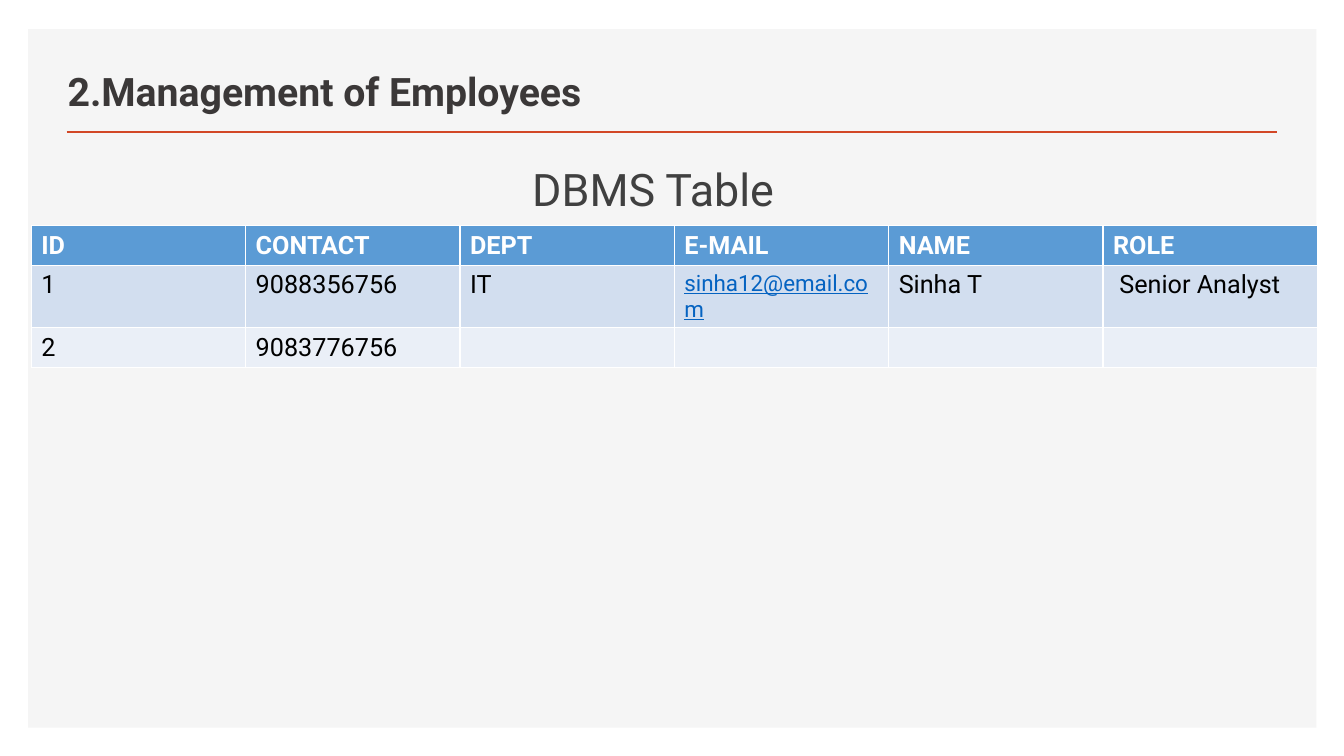
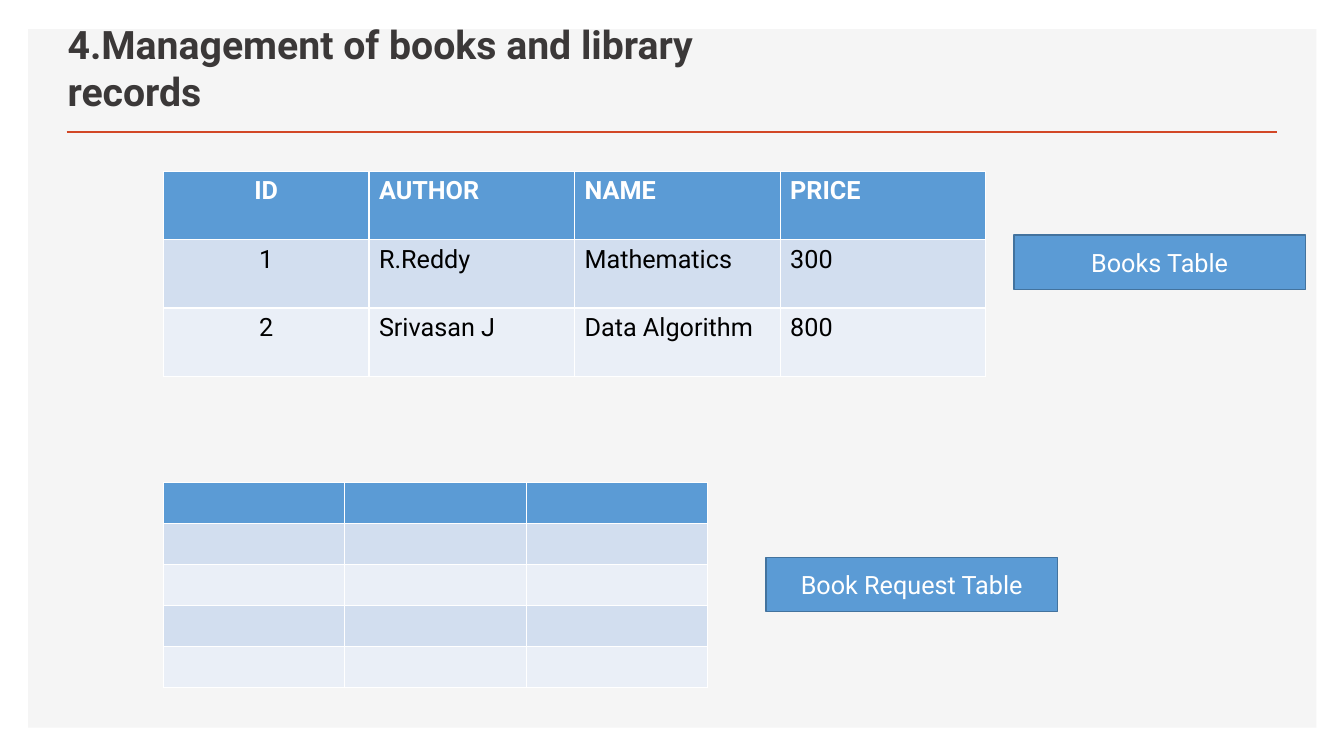
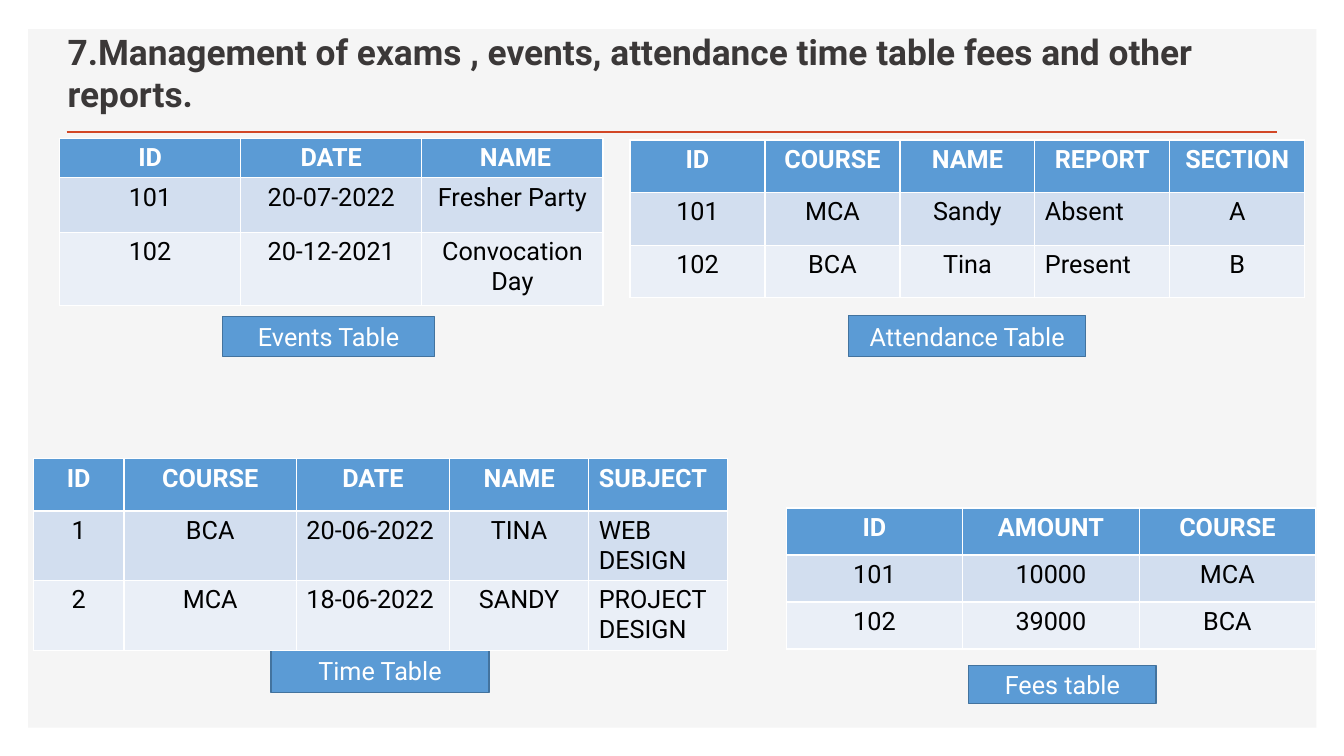
"""Builds three slides on the record tables of a college management system."""
from lxml.etree import SubElement
from pptx import Presentation
from pptx.dml.color import RGBColor
from pptx.enum.shapes import MSO_CONNECTOR, MSO_SHAPE
from pptx.enum.text import MSO_ANCHOR, MSO_AUTO_SIZE, PP_ALIGN
from pptx.oxml.ns import qn
from pptx.util import Inches, Pt

COLORS = {
    "panel": "F5F5F5",
    "rule": "D24726",
    "title": "3B3838",
    "body": "404040",
    "accent": "5B9BD5",
    "outline": "43739E",
    "odd row": "D2DEEF",
    "even row": "EAEFF7",
    "link": "0563C1",
    "black": "000000",
    "white": "FFFFFF",
}
ALIGNMENTS = {"l": PP_ALIGN.LEFT, "c": PP_ALIGN.CENTER}


def color(name):
    return RGBColor.from_string(COLORS[name])


def write_text(frame, text, size=18, ink="black", bold=False, underline=False, align="l"):
    para = frame.paragraphs[0]
    para.clear()
    para.alignment = ALIGNMENTS[align]
    span = para.add_run()
    span.text = text
    span.font.name = "Roboto"
    span.font.size = Pt(size)
    span.font.bold = bold
    span.font.underline = underline
    span.font.color.rgb = color(ink)
    return para


class Builder:
    """Holds the deck and current page; lengths are percent of the slide's size."""

    def __init__(self):
        self.deck = Presentation()
        self.deck.slide_width = Inches(13.333)
        self.deck.slide_height = Inches(7.5)
        self.page = None

    def across(self, share):
        return round(self.deck.slide_width * share / 100)

    def down(self, share):
        return round(self.deck.slide_height * share / 100)

    def area(self, left, top, width, height):
        return self.across(left), self.down(top), self.across(width), self.down(height)

    def box(self, left, top, width, height, fill, outline=None):
        box = self.page.shapes.add_shape(
            MSO_SHAPE.RECTANGLE, *self.area(left, top, width, height))
        box.shadow.inherit = False
        box.fill.solid()
        box.fill.fore_color.rgb = color(fill)
        if outline:
            box.line.color.rgb = color(outline)
            box.line.width = Pt(1)
        else:
            box.line.fill.background()
        return box

    def rule(self, left, right, top):
        rule = self.page.shapes.add_connector(
            MSO_CONNECTOR.STRAIGHT, self.across(left), self.down(top),
            self.across(right), self.down(top))
        rule.line.color.rgb = color("rule")
        rule.line.width = Pt(2)
        SubElement(rule.element.spPr, qn("a:effectLst"))
        return rule

    def decorate_master(self):
        master = self.deck.slide_master.shapes.element
        decorations = [self.box(2.1, 3.87, 95.85, 92.4, "panel"), self.rule(4.95, 95.03, 17.47)]
        for index, shape in enumerate(decorations):
            shape.element.xpath(".//p:cNvPr")[0].set("id", str(100 + index))
            master.insert(2 + index, shape.element)

    def place(self, holder, left, top, width, height, anchor):
        holder.left, holder.top, holder.width, holder.height = self.area(left, top, width, height)
        frame = holder.text_frame
        frame.word_wrap = True
        frame.auto_size = MSO_AUTO_SIZE.NONE
        frame.vertical_anchor = anchor
        return frame

    def open_page(self, title, width=56.4, size=28, body=None):
        self.page = self.deck.slides.add_slide(self.deck.slide_layouts[1])
        if len(self.deck.slides) == 1:
            self.decorate_master()
        title_holder, body_holder = self.page.placeholders
        frame = self.place(title_holder, 4.28, 6.53, width, 9.33, MSO_ANCHOR.BOTTOM)
        write_text(frame, title, size=size, ink="title", bold=True)
        if body:
            self.body(body_holder, body)
        else:
            body_holder.element.getparent().remove(body_holder.element)

    def body(self, holder, text):
        frame = self.place(holder, 38.85, 17.2, 36.23, 58, MSO_ANCHOR.TOP)
        para = write_text(frame, text, size=32, ink="body")
        para.line_spacing = 1.5
        para.space_before = Pt(10)
        para.space_after = Pt(12)
        properties = para._p.get_or_add_pPr()
        properties.set("marL", "0")
        properties.set("indent", "0")
        SubElement(properties, qn("a:buNone"))

    def label(self, text, left, top, width, height):
        box = self.box(left, top, width, height, "accent", outline="outline")
        box.text_frame.word_wrap = True
        box.text_frame.vertical_anchor = MSO_ANCHOR.MIDDLE
        write_text(box.text_frame, text, ink="white", align="c")

    def table(self, records, left, top, widths, heights, align, head_align=None):
        frame = self.page.shapes.add_table(
            len(heights), len(widths), *self.area(left, top, sum(widths), sum(heights)))
        table = frame.table
        for column, width in zip(table.columns, widths):
            column.width = self.across(width)
        for index, (row, height, record) in enumerate(zip(table.rows, heights, records)):
            row.height = self.down(height)
            header = index == 0
            fill = "accent" if header else "odd row" if index % 2 else "even row"
            sides = head_align or align if header else align
            for cell, text, side in zip(row.cells, record, sides):
                cell.fill.solid()
                cell.fill.fore_color.rgb = color(fill)
                write_text(cell.text_frame, text, ink="white" if header else "black",
                           bold=header, align=side)
        return table


def build_employees(builder):
    builder.open_page("2.Management of Employees", body="DBMS Table")
    employees = builder.table(
        [["ID", "CONTACT", "DEPT", "E-MAIL", "NAME", "ROLE"],
         ["1", "9088356756", "IT", "", "Sinha T", " Senior Analyst"],
         ["2", "9083776756", "", "", "", ""]],
        2.33, 29.87, [15.95] * 6, [5.2, 8.13, 5.2], "llllll")
    write_text(employees.cell(1, 3).text_frame, "sinha12@email.com",
               size=16, ink="link", underline=True)


def build_library(builder):
    builder.open_page("4.Management of books and library records")
    builder.table([[""] * 3] * 5, 12.15, 63.87, [13.5] * 3, [5.42] * 5, "lll")
    builder.table(
        [["ID", "AUTHOR", "NAME", "PRICE"],
         ["1", "R.Reddy", "Mathematics", "300"],
         ["2", "Srivasan J", "Data Algorithm", "800"]],
        12.15, 22.67, [15.3] * 4, [9.03] * 3, "clll")
    builder.label("Books Table", 75.45, 31.07, 21.68, 7.2)
    builder.label("Book Request Table", 57, 73.73, 21.68, 7.2)


def build_reports(builder):
    builder.open_page(
        "7.Management of exams , events, attendance time table fees and other reports.",
        width=87.9, size=25.2)
    builder.label("Events Table", 16.58, 41.87, 15.75, 5.33)
    builder.label("Attendance Table", 63.15, 41.73, 17.63, 5.47)
    builder.label("Time Table", 20.18, 85.87, 16.2, 5.73)
    builder.label("Fees table", 72.08, 88, 13.95, 5.07)
    builder.table(
        [["ID", "AMOUNT", "COURSE"], ["101", "10000", "MCA"], ["102", "39000", "BCA"]],
        58.5, 67.2, [13.13] * 3, [6.22] * 3, "ccc")
    builder.table(
        [["ID", "DATE", " NAME"],
         ["101", "20-07-2022", "Fresher Party"],
         ["102", "20-12-2021", "Convocation Day"]],
        4.43, 18.27, [13.48] * 3, [5.2, 7.2, 9.73], "ccc")
    builder.table(
        [["ID", "COURSE", "NAME", "REPORT", "SECTION"],
         ["101", "MCA", "Sandy", "Absent", "A"],
         ["102", "BCA", "Tina", "Present", "B"]],
        46.88, 18.53, [10.04] * 5, [6.95] * 3, "ccclc", head_align="ccccc")
    builder.table(
        [["ID", "COURSE", "DATE", "NAME", "SUBJECT"],
         ["1", "BCA", "20-06-2022", "TINA", "WEB DESIGN"],
         ["2", "MCA", "18-06-2022", "SANDY", "PROJECT DESIGN"]],
        2.48, 60.67, [6.75, 12.83, 11.4, 10.35, 10.35], [6.93, 9.2, 9.2],
        "cclcl", head_align="ccccl")


builder = Builder()
build_employees(builder)
build_library(builder)
build_reports(builder)
builder.deck.save("out.pptx")
